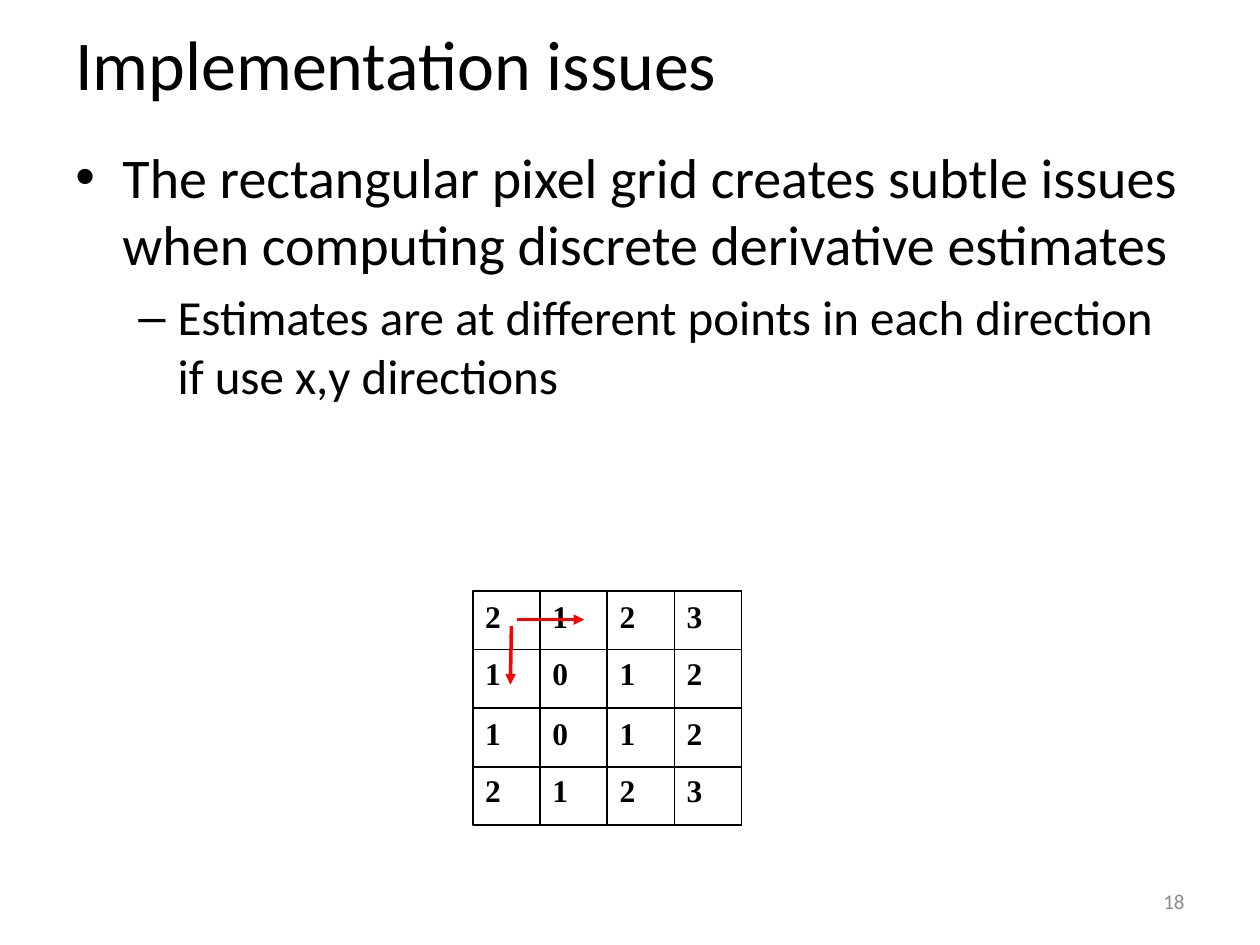
from pptx import Presentation
from pptx.dml.color import RGBColor
from pptx.enum.shapes import MSO_CONNECTOR, MSO_SHAPE
from pptx.enum.text import MSO_ANCHOR, PP_ALIGN
from pptx.oxml.ns import qn
from pptx.util import Cm, Pt
from lxml.etree import SubElement

BLACK = RGBColor(0x00, 0x00, 0x00)
RED = RGBColor(0xFF, 0x00, 0x00)
GRAY = RGBColor(0x8C, 0x8C, 0x8C)

PIXELS = ["2123", "1012", "1012", "2123"]
LABEL_TOPS = [0, 1.14, 2.36, 3.51]
# Text, bullet, size, left margin and hanging indent in cm
BULLETS = [
    ("The rectangular pixel grid creates subtle issues when computing "
     "discrete derivative estimates", "•", 32, 0.95, 0.95),
    ("Estimates are at different points in each direction if use x,y directions",
     "–", 28, 2.06, 0.79),
]


def format_paragraph(paragraph, size, color=BLACK, font="Calibri", bold=False):
    for run in paragraph.runs:
        run.font.name = font
        run.font.size = Pt(size)
        run.font.bold = bold
        run.font.color.rgb = color


def add_text(slide, left, top, width, height, text, size, anchor=MSO_ANCHOR.TOP,
             align=PP_ALIGN.LEFT, **style):
    box = slide.shapes.add_textbox(Cm(left), Cm(top), Cm(width), Cm(height))
    frame = box.text_frame
    frame.word_wrap = True
    frame.vertical_anchor = anchor
    frame.text = text
    frame.paragraphs[0].alignment = align
    format_paragraph(frame.paragraphs[0], size, **style)


def add_line(slide, x1, y1, x2, y2, color, width, arrow=False):
    line = slide.shapes.add_connector(
        MSO_CONNECTOR.STRAIGHT, Cm(x1), Cm(y1), Cm(x2), Cm(y2))
    line.line.color.rgb = color
    line.line.width = Pt(width)
    properties = line._element.spPr
    if arrow:
        SubElement(properties.find(qn("a:ln")), qn("a:tailEnd"), type="triangle")
    SubElement(properties, qn("a:effectLst"))
    return line


def add_bullets(slide, left, top, width, height):
    box = slide.shapes.add_textbox(Cm(left), Cm(top), Cm(width), Cm(height))
    frame = box.text_frame
    frame.word_wrap = True
    for index, (text, bullet, size, margin, hanging) in enumerate(BULLETS):
        paragraph = frame.add_paragraph() if index else frame.paragraphs[0]
        paragraph.text = text
        paragraph.level = index
        paragraph.space_before = Pt(size * 0.2)
        format_paragraph(paragraph, size)
        properties = paragraph._p.get_or_add_pPr()
        properties.set("marL", str(Cm(margin)))
        properties.set("indent", str(-Cm(hanging)))
        SubElement(properties, qn("a:buFont"), typeface="Arial")
        SubElement(properties, qn("a:buChar"), char=bullet)


def add_pixel_grid(slide, left, top, width, height):
    count = len(PIXELS)
    cell_width, cell_height = width / count, height / count

    # Outer frame
    frame = slide.shapes.add_shape(
        MSO_SHAPE.RECTANGLE, Cm(left), Cm(top), Cm(width), Cm(height))
    frame.shadow.inherit = False
    frame.fill.background()
    frame.line.color.rgb = BLACK
    frame.line.width = Pt(1)

    # Inner lines; the middle ones join the frame
    for index in range(1, count):
        x, y = left + index * cell_width, top + index * cell_height
        row_line = add_line(slide, left, y, left + width, y, BLACK, 1)
        column_line = add_line(slide, x, top, x, top + height, BLACK, 1)
        if index * 2 == count:
            row_line.begin_connect(frame, 1)
            row_line.end_connect(frame, 3)
            column_line.begin_connect(frame, 0)
            column_line.end_connect(frame, 2)

    # Pixel values
    for values, label_top in zip(PIXELS, LABEL_TOPS):
        for column, value in enumerate(values):
            add_text(slide, left + column * cell_width, top + label_top, 1.55, 1.02,
                     value, 18, font="Times New Roman", bold=True)

    # Derivative directions, each one cell long
    add_line(slide, left + 0.89, top + 0.58, left + 0.89 + cell_width, top + 0.58,
             RED, 2, arrow=True)
    add_line(slide, left + 0.78, top + 0.71, left + 0.76, top + 0.71 + cell_height,
             RED, 2, arrow=True)


def main():
    presentation = Presentation()
    presentation.slide_width = Cm(25.4)
    presentation.slide_height = Cm(19.05)
    slide = presentation.slides.add_slide(presentation.slide_layouts[6])

    add_bullets(slide, 1.27, 2.75, 22.86, 14.27)
    add_text(slide, 1.27, 0, 22.86, 2.54, "Implementation issues", 40,
             anchor=MSO_ANCHOR.MIDDLE)
    add_pixel_grid(slide, 9.53, 11.91, 5.42, 4.73)
    # Slide number
    add_text(slide, 18.2, 17.66, 5.93, 1.01, "18", 12, color=GRAY,
             anchor=MSO_ANCHOR.MIDDLE, align=PP_ALIGN.RIGHT)

    presentation.save("out.pptx")


if __name__ == "__main__":
    main()
